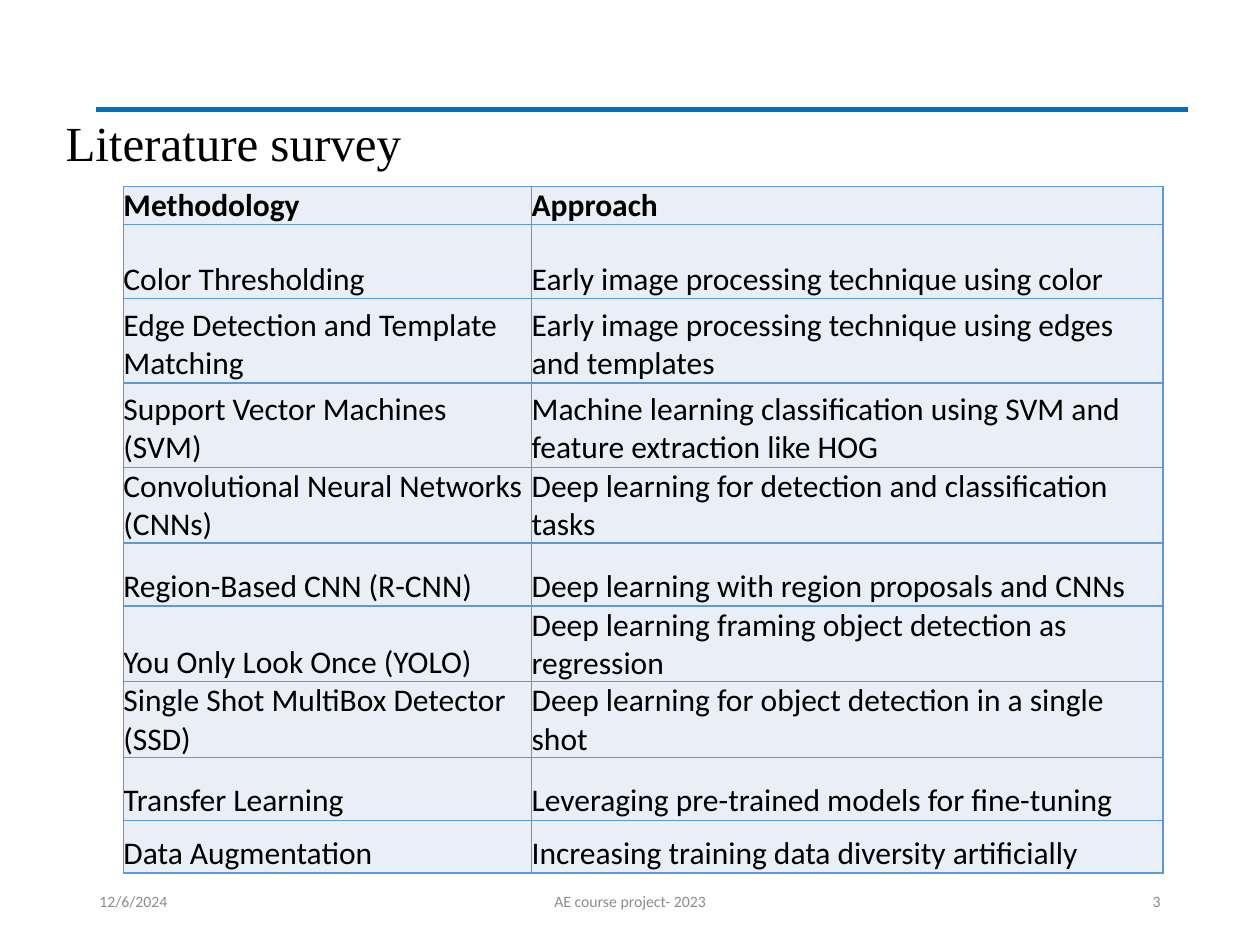
import pptx
import pptx.util
import pptx.oxml
import pptx.oxml.ns
import pptx.dml.color
import pptx.enum.text
import pptx.enum.shapes
from pptx.util import Inches, Pt
from pptx.dml.color import RGBColor
from pptx.enum.text import MSO_ANCHOR, PP_ALIGN

# Content
TITLE = "Literature survey"
HEADER = ("Methodology", "Approach")
METHODS = [  # methodology, approach, row height
    ("Color Thresholding", "Early image processing technique using color", 0.59),
    ("Edge Detection and Template Matching",
     "Early image processing technique using edges and templates", 0.67),
    ("Support Vector Machines (SVM)",
     "Machine learning classification using SVM and feature extraction like HOG", 0.67),
    ("Convolutional Neural Networks (CNNs)",
     "Deep learning for detection and classification tasks", 0.59),
    ("Region-Based CNN (R-CNN)", "Deep learning with region proposals and CNNs", 0.5),
    ("You Only Look Once (YOLO)", "Deep learning framing object detection as regression", 0.59),
    ("Single Shot MultiBox Detector (SSD)",
     "Deep learning for object detection in a single shot", 0.59),
    ("Transfer Learning", "Leveraging pre-trained models for fine-tuning", 0.5),
    ("Data Augmentation", "Increasing training data diversity artificially", 0.42),
]
HEADER_HEIGHT = 0.22
COLUMN_WIDTHS = (3.24, 5.01)
FOOTERS = [  # text, left, width, alignment
    ("12/6/2024", 0.69, 2.25, PP_ALIGN.LEFT),
    ("AE course project- 2023", 3.31, 3.38, PP_ALIGN.CENTER),
    ("3", 7.06, 2.25, PP_ALIGN.RIGHT),
]

BLACK = RGBColor(0x00, 0x00, 0x00)
RULE_BLUE = RGBColor(0x00, 0x70, 0xC0)
BORDER_BLUE = RGBColor(0x5B, 0x9B, 0xD5)
CELL_FILL = RGBColor(0xEA, 0xEF, 0xF7)
FOOTER_GRAY = RGBColor(0x8C, 0x8C, 0x8C)


def set_text(frame, text, font_name, size, color, alignment=PP_ALIGN.LEFT, bold=False):
    frame.text = text
    frame.word_wrap = True
    paragraph = frame.paragraphs[0]
    paragraph.alignment = alignment
    paragraph.font.name = font_name
    paragraph.font.size = Pt(size)
    paragraph.font.bold = bold
    paragraph.font.color.rgb = color


def set_borders(cell, color, width):
    properties = cell._tc.get_or_add_tcPr()
    for index, side in enumerate(("lnL", "lnR", "lnT", "lnB")):
        properties.insert(index, pptx.oxml.parse_xml(
            f'<a:{side} {pptx.oxml.ns.nsdecls("a")} w="{Pt(width)}">'
            f'<a:solidFill><a:srgbClr val="{color}"/></a:solidFill></a:{side}>'))


presentation = pptx.Presentation()
presentation.slide_width, presentation.slide_height = Inches(10), Inches(7.5)
slide = presentation.slides.add_slide(presentation.slide_layouts[5])

# Title and the rule above it
title = slide.shapes.title
title.left, title.top = Inches(0.42), Inches(0.84)
title.width, title.height = Inches(8.82), Inches(0.57)
set_text(title.text_frame, TITLE, "Times New Roman", 28, BLACK)
title.text_frame.vertical_anchor = MSO_ANCHOR.TOP
title.text_frame.auto_size = pptx.enum.text.MSO_AUTO_SIZE.NONE

rule = slide.shapes.add_connector(
    pptx.enum.shapes.MSO_CONNECTOR.STRAIGHT,
    Inches(0.76), Inches(0.87), Inches(9.43), Inches(0.87))
rule.line.color.rgb = RULE_BLUE
rule.line.width = Pt(3)
rule._element.spPr.append(pptx.oxml.parse_xml(
    f'<a:effectLst {pptx.oxml.ns.nsdecls("a")}/>'))

# Footer
for text, left, width, alignment in FOOTERS:
    footer = slide.shapes.add_textbox(Inches(left), Inches(6.95), Inches(width), Inches(0.4))
    set_text(footer.text_frame, text, "Calibri", 9, FOOTER_GRAY, alignment)
    footer.text_frame.vertical_anchor = MSO_ANCHOR.MIDDLE

# Survey table
rows = [HEADER] + [method[:2] for method in METHODS]
heights = [HEADER_HEIGHT] + [method[2] for method in METHODS]
table = slide.shapes.add_table(
    len(rows), len(HEADER), Inches(0.98), Inches(1.48),
    Inches(sum(COLUMN_WIDTHS)), Inches(sum(heights))).table
for column, width in zip(table.columns, COLUMN_WIDTHS):
    column.width = Inches(width)
for row_index, (texts, height) in enumerate(zip(rows, heights)):
    table.rows[row_index].height = Inches(height)
    for column_index, text in enumerate(texts):
        cell = table.cell(row_index, column_index)
        set_text(cell.text_frame, text, "Calibri", 18, BLACK, bold=row_index == 0)
        cell.margin_left = cell.margin_right = cell.margin_top = cell.margin_bottom = 0
        cell.vertical_anchor = MSO_ANCHOR.BOTTOM
        cell.fill.solid()
        cell.fill.fore_color.rgb = CELL_FILL
        set_borders(cell, BORDER_BLUE, 1)

presentation.save("out.pptx")
